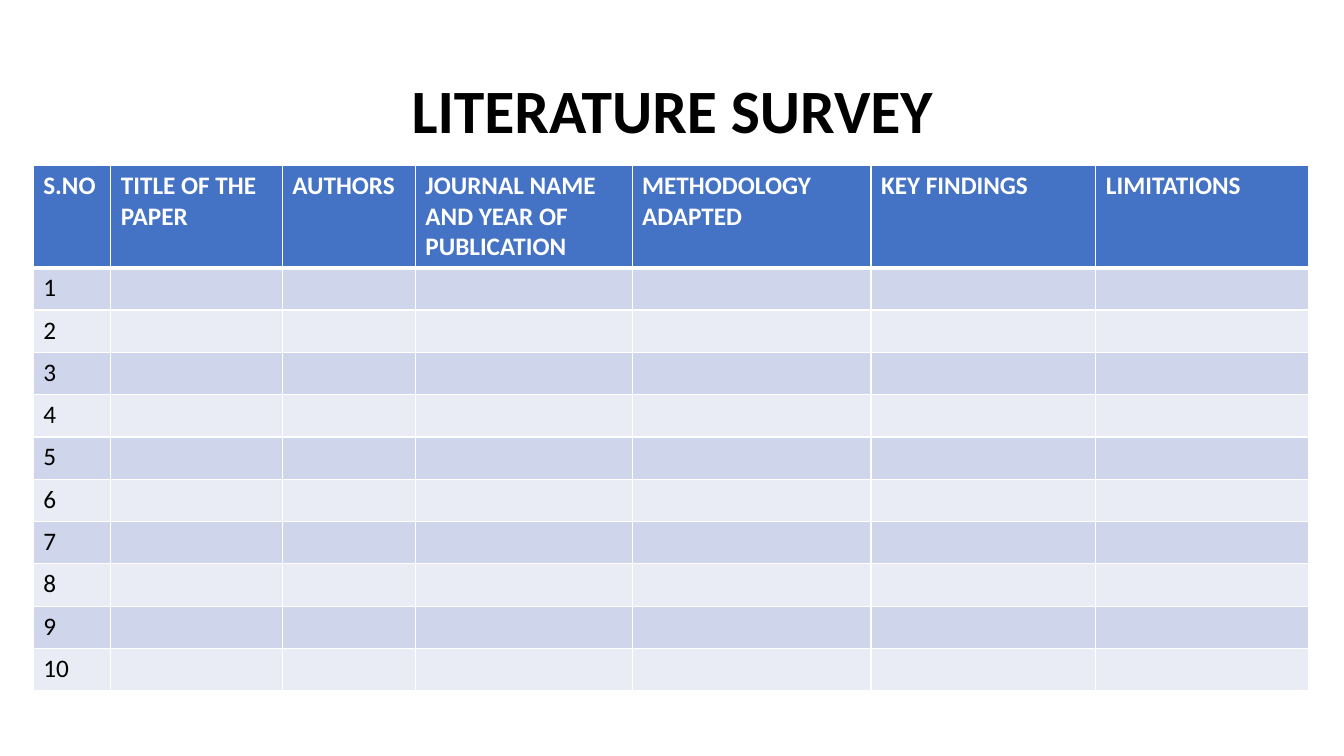
"""Build the literature survey slide with its empty ten-row table."""
from pptx import Presentation
from pptx import util as u
from pptx.dml import color
from pptx.enum import text
from pptx.oxml import ns
from lxml import etree

COLORS = {"header": "4472C4", "odd": "CFD5EA", "even": "E9EBF5",
          "white": "FFFFFF", "black": "000000"}
FONT = "Calibri"
COLUMNS = [("S.NO", 0.77), ("TITLE OF THE PAPER", 1.7), ("AUTHORS", 1.32),
           ("JOURNAL NAME AND YEAR OF PUBLICATION", 2.15),
           ("METHODOLOGY ADAPTED ", 2.37), ("KEY FINDINGS", 2.23),
           ("LIMITATIONS", 2.11)]
PAPER_COUNT = 10
HEADER_HEIGHT, ROW_HEIGHT = 1.01, 0.42


def rgb(name):
    return color.RGBColor.from_string(COLORS[name])


def format_text(para, size, color_name, bold):
    for span in para.runs:
        span.font.name = FONT
        span.font.size = u.Pt(size)
        span.font.bold = bold
        span.font.color.rgb = rgb(color_name)


def add_title(page, words):
    title = page.shapes.title
    title.left, title.top = u.Inches(0.92), u.Inches(0.4)
    title.width, title.height = u.Inches(11.5), u.Inches(1.45)
    frame = title.text_frame
    frame.text = words
    frame.vertical_anchor = text.MSO_ANCHOR.MIDDLE
    para = frame.paragraphs[0]
    para.alignment = text.PP_ALIGN.CENTER
    para.line_spacing = 0.9
    format_text(para, 44, "black", True)


def set_borders(cell, top, bottom):
    properties = cell._tc.get_or_add_tcPr()
    for side, points in (("L", 1), ("R", 1), ("T", top), ("B", bottom)):
        line = etree.SubElement(properties, ns.qn(f"a:ln{side}"), w=str(u.Pt(points)))
        fill = etree.SubElement(line, ns.qn("a:solidFill"))
        etree.SubElement(fill, ns.qn("a:srgbClr"), val=COLORS["white"])


def fill_cell(cell, words, row):
    header = row == 0
    set_borders(cell, 3 if row == 1 else 1, 3 if header else 1)
    cell.fill.solid()
    cell.fill.fore_color.rgb = rgb("header" if header else "odd" if row % 2 else "even")
    cell.text = words
    format_text(cell.text_frame.paragraphs[0], 18, "white" if header else "black", header)


def add_survey_table(page):
    width = sum(inches for _, inches in COLUMNS)
    height = HEADER_HEIGHT + PAPER_COUNT * ROW_HEIGHT
    table = page.shapes.add_table(PAPER_COUNT + 1, len(COLUMNS), u.Inches(0.33),
                                  u.Inches(1.64), u.Inches(width), u.Inches(height)).table
    for row in range(PAPER_COUNT + 1):
        table.rows[row].height = u.Inches(ROW_HEIGHT if row else HEADER_HEIGHT)
        for column, (heading, inches) in enumerate(COLUMNS):
            table.columns[column].width = u.Inches(inches)
            number = "" if column else str(row)
            fill_cell(table.cell(row, column), number if row else heading, row)


def main():
    deck = Presentation()
    deck.slide_width, deck.slide_height = u.Inches(13.33), u.Inches(7.5)
    page = deck.slides.add_slide(deck.slide_layouts.get_by_name("Title Only"))
    add_title(page, "LITERATURE SURVEY")
    add_survey_table(page)
    deck.save("out.pptx")


main()
